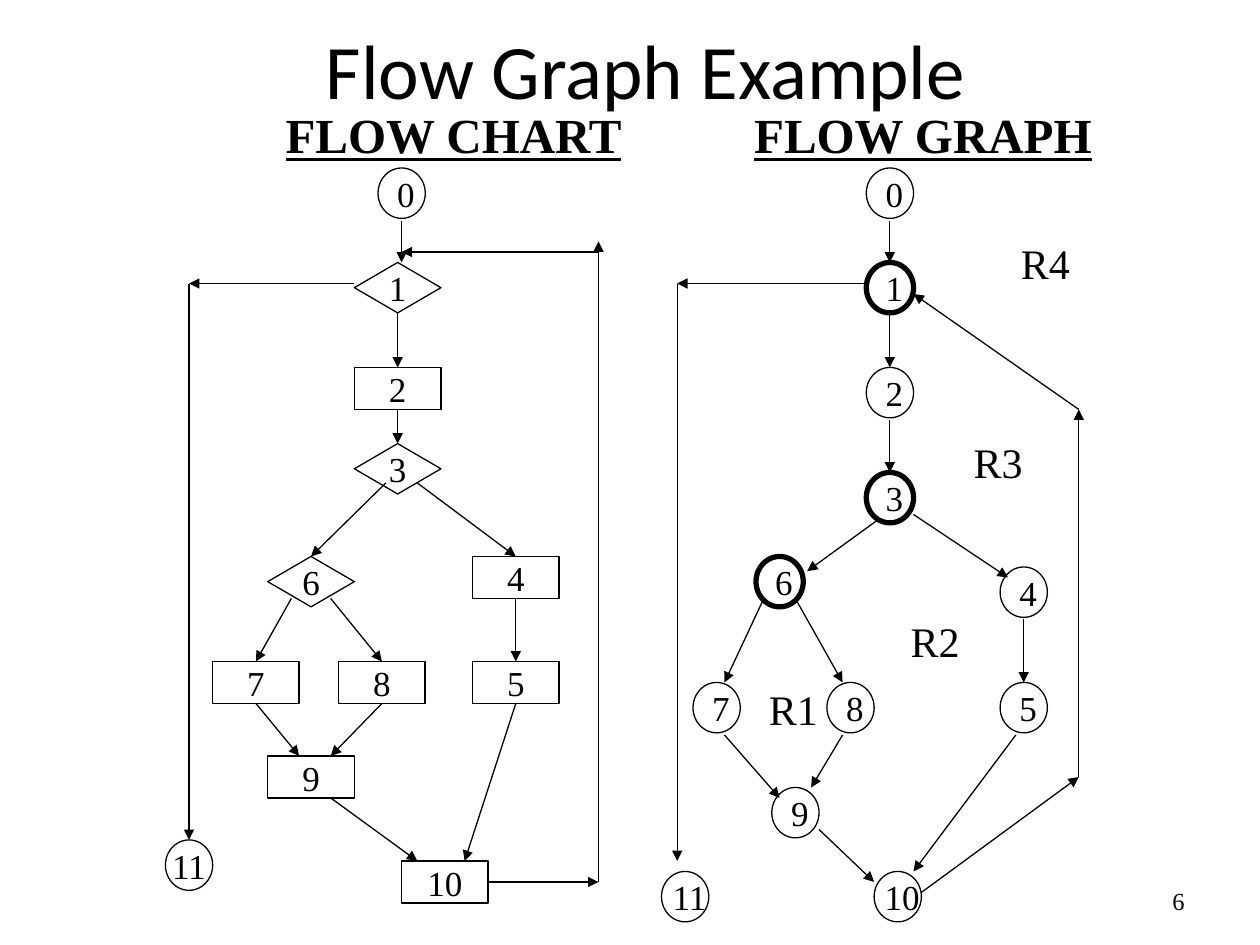
from lxml import etree
from pptx import Presentation
from pptx.dml.color import RGBColor
from pptx.enum.shapes import MSO_CONNECTOR, MSO_SHAPE
from pptx.enum.text import MSO_ANCHOR, PP_ALIGN
from pptx.oxml.ns import qn
from pptx.util import Inches, Pt

BLACK = RGBColor(0, 0, 0)
CIRCLE, BOX, DECISION = MSO_SHAPE.OVAL, MSO_SHAPE.RECTANGLE, MSO_SHAPE.FLOWCHART_DECISION
STRAIGHT = MSO_CONNECTOR.STRAIGHT
CENTER, RIGHT = PP_ALIGN.CENTER, PP_ALIGN.RIGHT
TOP_ANCHOR, MIDDLE = MSO_ANCHOR.TOP, MSO_ANCHOR.MIDDLE
TOP, LEFT, BOTTOM, RIGHT_SIDE = range(4)
SERIF = "Times New Roman"

# Grid of 160 columns by 90 rows
COLUMN, ROW = Inches(10) / 160, Inches(7.5) / 90
NODE_SIZE = {CIRCLE: (6, 4.8), BOX: (11, 4), DECISION: (11, 4.8)}

deck = Presentation()
deck.slide_width, deck.slide_height = Inches(10), Inches(7.5)
page = deck.slides.add_slide(deck.slide_layouts[6])


def place(column, row):
    return round(column * COLUMN), round(row * ROW)


def write(shape, text, size, font=SERIF, align=CENTER, anchor=MIDDLE, wrap=False):
    frame = shape.text_frame
    frame.text = text
    frame.word_wrap = wrap
    frame.vertical_anchor = anchor
    para = frame.paragraphs[0]
    para.alignment = align
    span = para.runs[0]
    span.font.size, span.font.name = Pt(size), font
    span.font.color.rgb = BLACK
    return span


# Title and slide number
title = page.shapes.add_textbox(*place(31, 0), *place(102, 13))
write(title, "Flow Graph Example", 44, "Calibri", wrap=True)
number = page.shapes.add_textbox(*place(114.7, 83.4), *place(37.3, 4.8))
write(number, "6", 14, align=RIGHT, wrap=True)

# Headings of the two diagrams
for column, heading in ((34.4, "FLOW CHART"), (94, "FLOW GRAPH")):
    box = page.shapes.add_textbox(*place(column, 9.4), *place(46.4, 6.8))
    span = write(box, heading, 28, anchor=TOP_ANCHOR)
    span.font.bold = span.font.underline = True

# Region labels of the flow graph
for label, column, row in (("R1", 96, 64.5), ("R2", 114, 58), ("R3", 122, 41), ("R4", 128, 22)):
    box = page.shapes.add_textbox(*place(column, row), *place(9.5, 6))
    write(box, label, 24, anchor=TOP_ANCHOR)

# Nodes: number, shape, column, row
chart_nodes = [
    (0, CIRCLE, 48, 16), (1, DECISION, 45, 25), (2, BOX, 45, 35), (3, DECISION, 45, 42.25),
    (4, BOX, 60, 53), (5, BOX, 60, 63), (6, DECISION, 34, 53), (7, BOX, 27, 63),
    (8, BOX, 43, 63), (9, BOX, 34, 72), (10, BOX, 51, 82), (11, CIRCLE, 21, 80),
]
graph_nodes = [
    (0, CIRCLE, 110, 16), (1, CIRCLE, 110, 25), (2, CIRCLE, 110, 35), (3, CIRCLE, 110, 45),
    (4, CIRCLE, 127, 54), (5, CIRCLE, 127, 65), (6, CIRCLE, 96, 53), (7, CIRCLE, 88, 65),
    (8, CIRCLE, 105, 65), (9, CIRCLE, 98, 75), (10, CIRCLE, 111, 83), (11, CIRCLE, 84, 83),
]
PREDICATES = (1, 3, 6)
chart = {}
for nodes in (chart_nodes, graph_nodes):
    for name, kind, column, row in nodes:
        node = page.shapes.add_shape(kind, *place(column, row), *place(*NODE_SIZE[kind]))
        node.shadow.inherit = False
        node.fill.background()
        node.line.color.rgb = BLACK
        bold = nodes is graph_nodes and name in PREDICATES
        node.line.width = Pt(3 if bold else 0.75)
        write(node, str(name), 20)
        # Digits in circles sit slightly right of centre
        indented = kind == CIRCLE and (nodes is graph_nodes or name == 0)
        node.text_frame.margin_left = Pt(5 if indented else 0)
        node.text_frame.margin_right = 0
        if nodes is chart_nodes:
            chart[name] = node

# Arrows: start and end points, then the joined (node, side) at each end
chart_arrows = [
    ((51, 21), (51, 25), None, None),
    ((51, 30), (51, 35), (1, BOTTOM), (2, TOP)),
    ((50, 39), (50, 42), (2, BOTTOM), (3, TOP)),
    ((49, 46), (39, 53), None, (6, TOP)),
    ((53, 46), (65, 53), None, (4, TOP)),
    ((65, 57), (65, 63), (4, BOTTOM), (5, TOP)),
    ((37, 57), (32, 63), None, (7, TOP)),
    ((42, 57), (48, 63), None, (8, TOP)),
    ((32, 67), (38, 72), (7, BOTTOM), None),
    ((48, 67), (42, 72), (8, BOTTOM), None),
    ((42, 76), (53, 82), None, None),
    ((65, 67), (59, 82), (5, BOTTOM), None),
    ((45, 27), (24, 27), None, None),
    ((24, 27), (24, 80), None, None),
    ((62, 84), (76, 84), (10, RIGHT_SIDE), None),
    ((76, 84), (76, 23), None, None),
    ((76, 24), (51, 24), None, None),
]
graph_arrows = [
    ((113, 21), (113, 25)), ((113, 30), (113, 35)), ((113, 40), (113, 45)),
    ((111.5, 49.5), (102.5, 54.4)), ((116, 49), (128, 55)),
    ((97, 57), (92, 65)), ((101, 57), (107, 65)),
    ((92, 70), (99, 76)), ((107, 70), (103, 75)),
    ((104, 79), (111, 84)), ((129, 70), (116, 83)), ((130, 59), (130, 65)),
    ((110, 27), (86, 27)), ((86, 27), (86, 82)),
    ((117, 85), (137, 74)), ((137, 74), (137, 39)), ((137, 39), (116, 28)),
]
for start, end, *joints in chart_arrows + graph_arrows:
    arrow = page.shapes.add_connector(STRAIGHT, *place(*start), *place(*end))
    arrow.line.color.rgb = BLACK
    arrow.line.width = Pt(0.75)
    etree.SubElement(arrow.line._get_or_add_ln(), qn("a:tailEnd"), type="triangle")
    etree.SubElement(arrow._element.spPr, qn("a:effectLst"))
    for joint, connect in zip(joints, (arrow.begin_connect, arrow.end_connect)):
        if joint:
            name, side = joint
            connect(chart[name], side)

deck.save("out.pptx")
